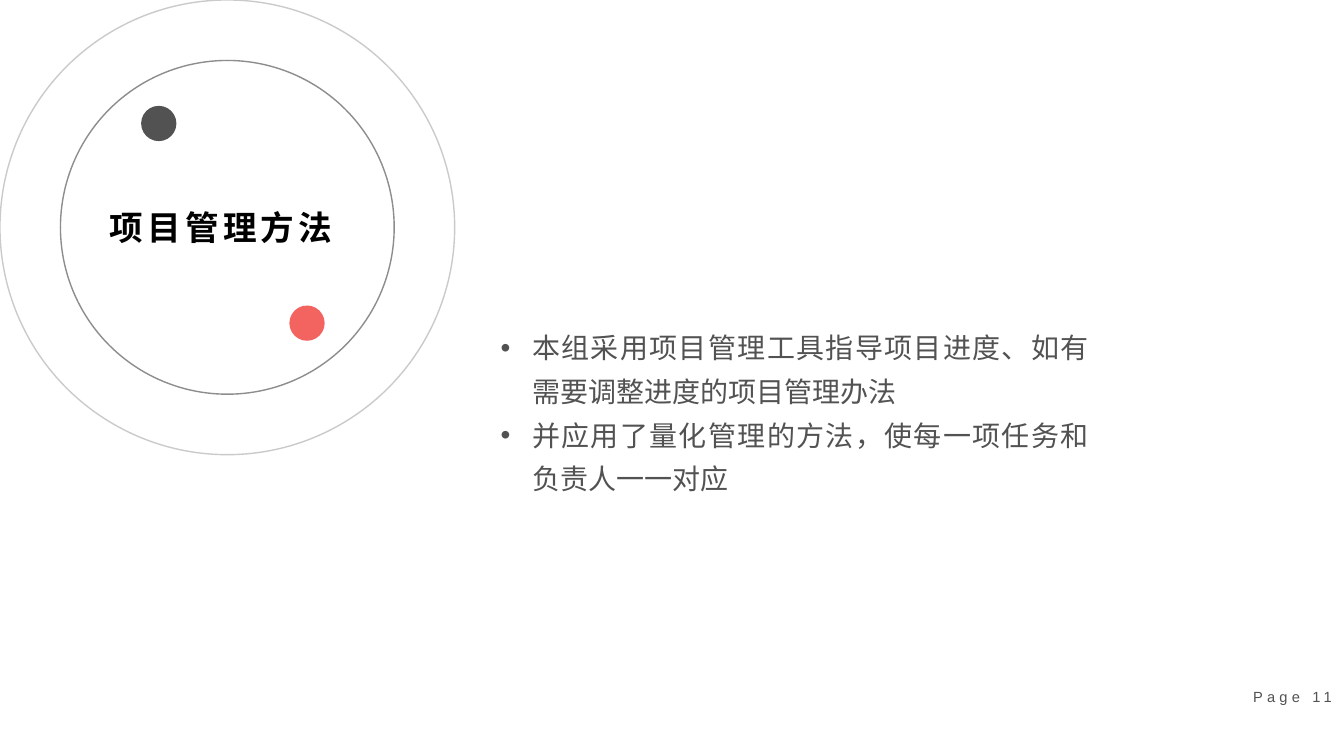
import dataclasses
import pptx
import pptx.dml.color
import pptx.enum.shapes
import pptx.enum.text
import pptx.oxml.ns
import pptx.oxml.xmlchemy
import pptx.util

Pt = pptx.util.Pt
Align = pptx.enum.text.PP_ALIGN
Anchor = pptx.enum.text.MSO_ANCHOR


@dataclasses.dataclass(frozen=True)
class Theme:
    font: str = "Arial"
    black: str = "000000"
    gray: str = "525252"
    red: str = "F36460"
    title: float = 24
    body: float = 20
    small: float = 10.5


theme = Theme()


def color(code):
    return pptx.dml.color.RGBColor.from_string(code)


def add_tag(parent, tag, **attrs):
    node = pptx.oxml.xmlchemy.OxmlElement(tag)
    for key, value in attrs.items():
        node.set(key, str(value))
    parent.append(node)


def add_text(slide, text, *, box, size, tone=theme.gray, bold=False, space=0,
             align=Align.LEFT, anchor=Anchor.TOP, line=1.0, indent=0):
    frame = slide.shapes.add_textbox(*map(Pt, box)).text_frame
    frame.word_wrap = True
    frame.vertical_anchor = anchor
    frame.text = text
    for para in frame.paragraphs:
        para.alignment = align
        para.line_spacing = line
        if indent:
            props = para._p.get_or_add_pPr()
            props.set("marL", str(Pt(indent)))
            props.set("indent", str(-Pt(indent)))
            add_tag(props, "a:buFont", typeface=theme.font)
            add_tag(props, "a:buChar", char="•")
        for run in para.runs:
            font = run.font
            font.name = theme.font
            font.size = Pt(size)
            font.bold = bold
            font.color.rgb = color(tone)
            props = run._r.get_or_add_rPr()
            add_tag(props, "a:ea", typeface=theme.font)
            if space:
                props.set("spc", str(space * 100))


def add_disc(slide, x, y, size):
    kind = pptx.enum.shapes.MSO_SHAPE.OVAL
    disc = slide.shapes.add_shape(
        kind, Pt(x - size / 2), Pt(y - size / 2), Pt(size), Pt(size))
    disc.shadow.inherit = False
    return disc


def add_ring(slide, x, y, size, alpha):
    ring = add_disc(slide, x, y, size)
    ring.fill.background()
    ring.line.width = Pt(1)
    ring.line.color.rgb = color(theme.gray)
    fill = ring.line._ln.find(pptx.oxml.ns.qn("a:solidFill"))
    add_tag(fill[0], "a:alpha", val=alpha * 1000)


def add_dot(slide, x, y, tone):
    dot = add_disc(slide, x, y, 25.2)
    dot.fill.solid()
    dot.fill.fore_color.rgb = color(tone)
    dot.line.fill.background()


def main():
    deck = pptx.Presentation()
    deck.slide_width, deck.slide_height = Pt(960), Pt(540)
    slide = deck.slides.add_slide(deck.slide_layouts[6])

    add_text(slide, "项目管理方法", box=(71.3, 144, 240, 36), size=theme.title,
             tone=theme.black, bold=True, space=3)
    mid = 162.4
    for size, alpha in ((324.8, 30), (238.4, 65)):
        add_ring(slide, mid, mid, size, alpha)
    add_dot(slide, 219.3, 230.8, theme.red)
    add_dot(slide, 113.4, 88.2, theme.gray)
    add_text(slide, "Page 11", box=(879, 483, 79.4, 29), size=theme.small,
             space=3, align=Align.RIGHT, anchor=Anchor.MIDDLE)
    points = (
        "本组采用项目管理工具指导项目进度、如有需要调整进度的项目管理办法",
        "并应用了量化管理的方法，使每一项任务和负责人一一对应",
    )
    add_text(slide, "\n".join(points), box=(350.6, 225.4, 434.2, 130.3),
             size=theme.body, align=Align.JUSTIFY, line=1.3, indent=22.5)
    deck.save("out.pptx")


if __name__ == "__main__":
    main()
